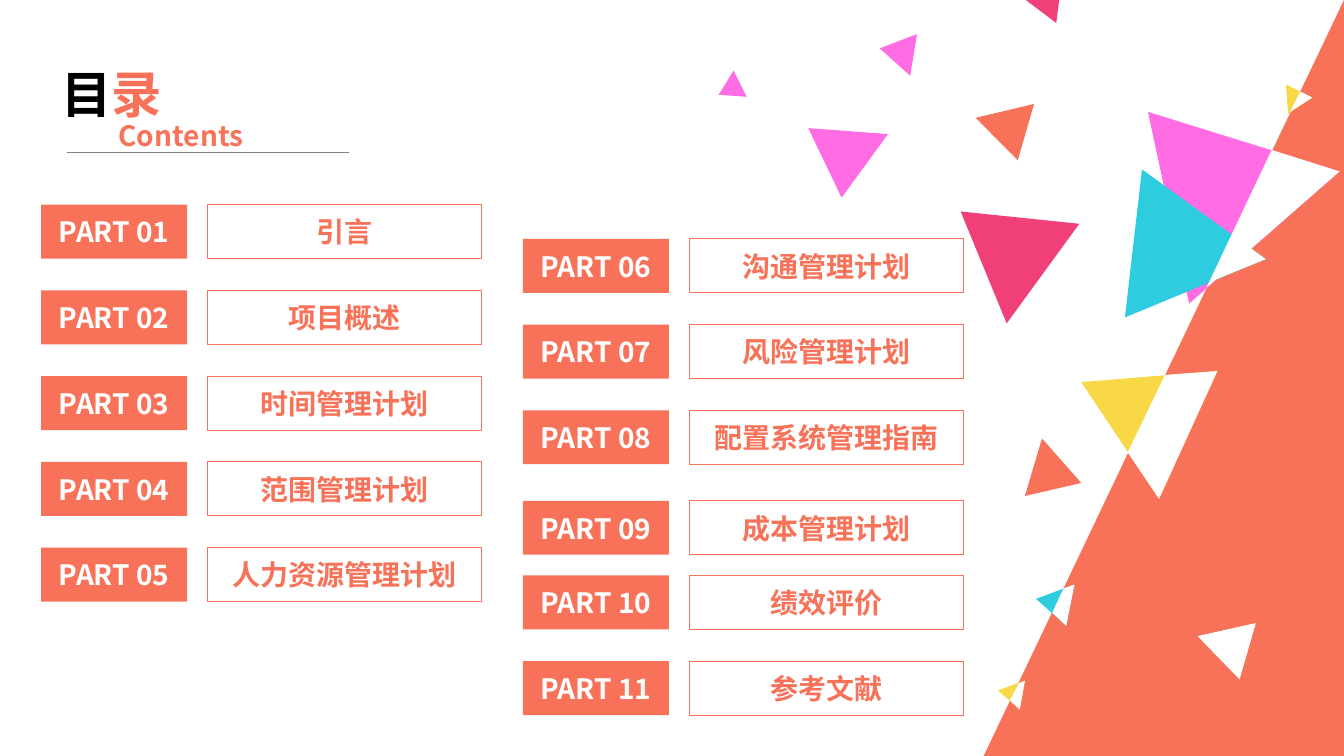
"""Build a contents slide with eleven numbered parts and scattered triangles."""
from lxml import etree
from pptx import Presentation
from pptx.dml.color import RGBColor
from pptx.enum.shapes import MSO_CONNECTOR, MSO_SHAPE
from pptx.enum.text import MSO_ANCHOR, MSO_AUTO_SIZE, PP_ALIGN
from pptx.oxml.ns import qn
from pptx.util import Cm, Pt

FONT = "Noto Sans CJK SC"
CORAL = RGBColor(0xF7, 0x72, 0x58)
PINK = RGBColor(0xFF, 0x6C, 0xE4)
TEAL = RGBColor(0x2D, 0xCC, 0xDF)
YELLOW = RGBColor(0xF8, 0xD8, 0x45)
RED = RGBColor(0xF0, 0x40, 0x77)
GRAY = RGBColor(0x80, 0x80, 0x80)
WHITE = RGBColor(0xFF, 0xFF, 0xFF)
BLACK = RGBColor(0, 0, 0)


def add_run(p, text, size, color):
    r = p.add_run()
    r.text = text
    r.font.name = FONT
    r.font.size = Pt(size)
    r.font.bold = True
    r.font.color.rgb = color
    etree.SubElement(r.font._element, qn("a:ea"), typeface=FONT)


def paint(sp, fill, line=None):
    sp.shadow.inherit = False
    if fill is None:
        sp.fill.background()
    else:
        sp.fill.solid()
        sp.fill.fore_color.rgb = fill
    if line is None:
        sp.line.fill.background()
    else:
        sp.line.color.rgb = line
        sp.line.width = Pt(0.75)


prs = Presentation()
prs.slide_width, prs.slide_height = Cm(33.87), Cm(19.05)
s = prs.slides.add_slide(prs.slide_layouts[6])

sp = s.shapes.add_shape(MSO_SHAPE.ISOSCELES_TRIANGLE, Cm(24.79), Cm(0), Cm(9.08), Cm(19.05))
sp.adjustments[0] = 1
paint(sp, CORAL)

headings = [
    (1.3, 1.47, 1.8, 36, [("目", BLACK), ("录", CORAL)]),
    (2.74, 2.87, 1.12, 20, [("Contents", CORAL)]),
]
for x, y, height, size, runs in headings:
    tf = s.shapes.add_textbox(Cm(x), Cm(y), Cm(3.99), Cm(height)).text_frame
    tf.word_wrap = True
    tf.auto_size = MSO_AUTO_SIZE.SHAPE_TO_FIT_TEXT
    for text, color in runs:
        add_run(tf.paragraphs[0], text, size, color)

rule = s.shapes.add_connector(MSO_CONNECTOR.STRAIGHT, Cm(1.7), Cm(3.84), Cm(8.79), Cm(3.84))
rule.line.color.rgb = GRAY
rule.line.width = Pt(0.5)
etree.SubElement(rule._element.spPr, qn("a:effectLst"))

confetti = [
    (CORAL, [(26.06, 2.62), (25.65, 4.04), (24.59, 2.97)]),
    (PINK, [(29.97, 7.65), (28.93, 2.82), (33.76, 4.32)]),
    (TEAL, [(28.35, 8), (28.78, 4.27), (31.9, 6.53)]),
    (TEAL, [(26.11, 15.09), (27.08, 14.73), (26.87, 15.77)]),
    (YELLOW, [(25.15, 17.4), (25.83, 17.15), (25.7, 17.88)]),
    (YELLOW, [(27.25, 9.63), (30.68, 9.35), (29.21, 12.57)]),
    (RED, [(27.2, 5.64), (25.37, 8.15), (24.21, 5.33)]),
    (YELLOW, [(32.46, 2.87), (32.41, 2.13), (33.07, 2.46)]),
    (PINK, [(22.17, 1.22), (23.11, 0.86), (22.94, 1.91)]),
    (RED, [(26.62, 0.58), (25.81, -0.03), (26.75, -0.43)]),
    (PINK, [(21.21, 4.98), (20.37, 3.23), (22.38, 3.38)]),
    (CORAL, [(27.25, 12.17), (25.83, 12.5), (26.26, 11.05)]),
    (WHITE, [(31.65, 15.7), (31.24, 17.12), (30.18, 16.03)]),
    (WHITE, [(32.05, 3.78), (33.76, 4.32), (30.4, 7.26)]),
    (WHITE, [(31.06, 5.92), (31.9, 6.53), (30.48, 7.11)]),
    (WHITE, [(27.08, 14.73), (26.87, 15.77), (26.52, 15.44), (26.8, 14.83)]),
    (WHITE, [(25.83, 17.15), (25.7, 17.88), (25.45, 17.65), (25.68, 17.22)]),
    (WHITE, [(30.68, 9.35), (29.21, 12.57), (28.42, 11.4), (29.36, 9.45)]),
    (WHITE, [(32.77, 2.31), (33.07, 2.46), (32.51, 2.82)]),
    (PINK, [(18.11, 2.39), (18.49, 1.78), (18.82, 2.44)]),
]
for color, corners in confetti:
    points = [(Cm(x), Cm(y)) for x, y in corners]
    outline = s.shapes.build_freeform(*points[0])
    outline.add_line_segments(points[1:], close=True)
    paint(outline.convert_to_shape(), color)

STEP = 2.16
left_tops = [5.16 + STEP * i for i in range(5)]
right_tops = [6.02 + STEP * i for i in range(3)] + [12.62, 14.5, 14.5 + STEP]
places = [(1.04, y) for y in left_tops] + [(13.18, y) for y in right_tops]
titles = ["引言", "项目概述", "时间管理计划", "范围管理计划", "人力资源管理计划",
          "沟通管理计划", "风险管理计划", "配置系统管理指南", "成本管理计划",
          "绩效评价", "参考文献"]
for number, ((x, y), title) in enumerate(zip(places, titles), 1):
    cells = [
        (x + 4.19, 6.91, title, None, CORAL, CORAL),
        (x, 3.68, f"PART {number:02}", CORAL, None, WHITE),
    ]
    for left, width, text, fill, line, color in cells:
        sp = s.shapes.add_shape(MSO_SHAPE.RECTANGLE, Cm(left), Cm(y), Cm(width), Cm(1.36))
        paint(sp, fill, line)
        tf = sp.text_frame
        tf.word_wrap = True
        tf.vertical_anchor = MSO_ANCHOR.MIDDLE
        p = tf.paragraphs[0]
        p.alignment = PP_ALIGN.CENTER
        add_run(p, text, 20, color)

prs.save("out.pptx")
